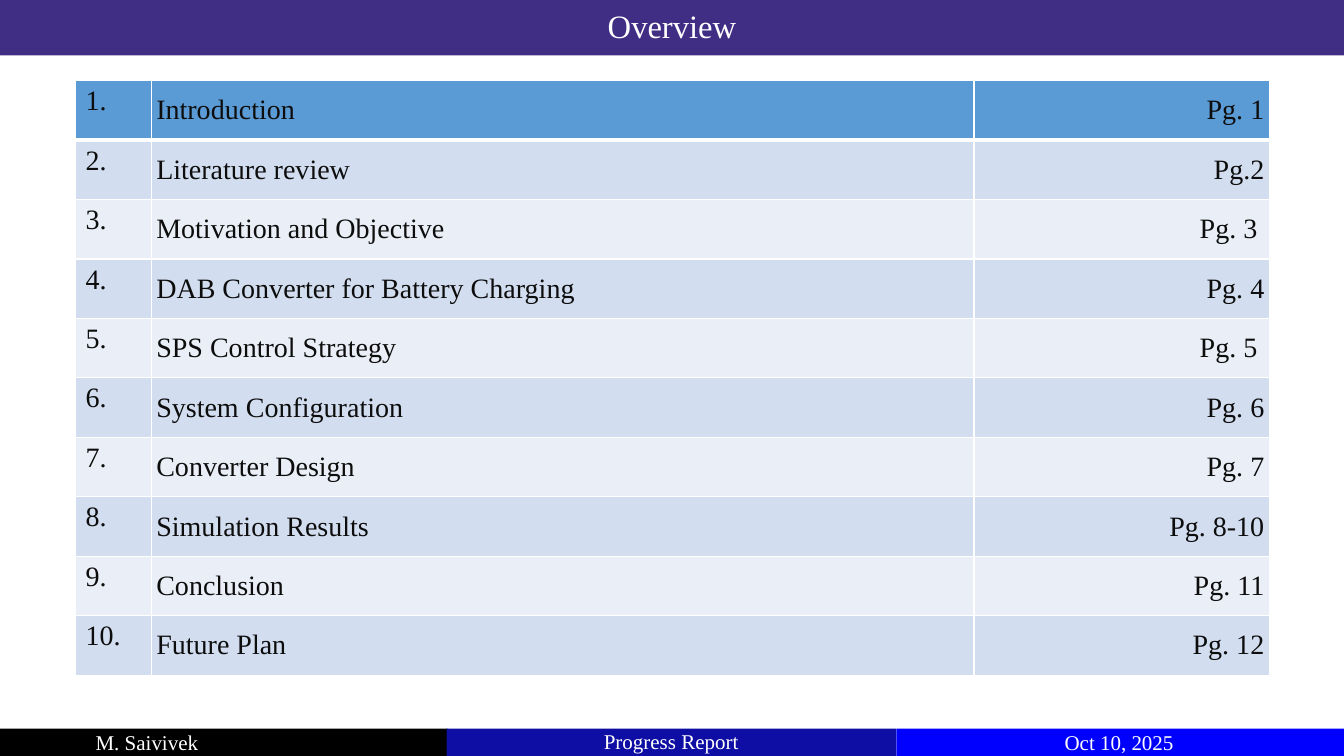
from lxml import etree
from pptx import Presentation
from pptx.dml.color import RGBColor
from pptx.enum.shapes import MSO_SHAPE
from pptx.enum.text import MSO_ANCHOR, MSO_AUTO_SIZE, PP_ALIGN
from pptx.oxml.ns import qn
from pptx.util import Inches, Pt

RECTANGLE = MSO_SHAPE.RECTANGLE
TOP, MIDDLE = MSO_ANCHOR.TOP, MSO_ANCHOR.MIDDLE
LEFT, CENTER, RIGHT = PP_ALIGN.LEFT, PP_ALIGN.CENTER, PP_ALIGN.RIGHT
NO_AUTOFIT = MSO_AUTO_SIZE.NONE
TITLE_ONLY = 5

FONT = "Times New Roman"
WHITE = RGBColor(0xFF, 0xFF, 0xFF)
BLACK = RGBColor(0x00, 0x00, 0x00)
INK = RGBColor(0x0D, 0x0D, 0x0D)
PURPLE = RGBColor(0x40, 0x2E, 0x84)
NAVY = RGBColor(0x0E, 0x0E, 0xA4)
BLUE = RGBColor(0x00, 0x00, 0xFF)
HEADER_BLUE = RGBColor(0x5B, 0x9B, 0xD5)
BAND_DARK = RGBColor(0xD2, 0xDE, 0xEF)
BAND_LIGHT = RGBColor(0xEA, 0xEF, 0xF7)

SLIDE_WIDTH = 13.33
COLUMN_WIDTHS = (0.75, 8.16, 2.93)
ROW_HEIGHT = 0.59
SECTIONS = [
    ("Introduction", "Pg. 1"),
    ("Literature review", "Pg.2"),
    ("Motivation and Objective", "Pg. 3 "),
    ("DAB Converter for Battery Charging", "Pg. 4"),
    ("SPS Control Strategy", "Pg. 5 "),
    ("System Configuration", "Pg. 6"),
    ("Converter Design", "Pg. 7"),
    ("Simulation Results", "Pg. 8-10"),
    ("Conclusion", "Pg. 11"),
    ("Future Plan", "Pg. 12"),
]
# bar left, bar width, bar colour, text left, text top, text width, text
FOOTER = [
    (0, 4.44, BLACK, 0.85, 7.19, 2.7, "M. Saivivek"),
    (8.89, 4.44, BLUE, 10.46, 7.19, 1.62, "Oct 10, 2025"),
    (4.43, 4.46, NAVY, 5.89, 7.18, 1.6, "Progress Report"),
]


def write(text_frame, text, size, color, align=LEFT):
    text_frame.text = text
    para = text_frame.paragraphs[0]
    para.alignment = align
    font = para.runs[0].font
    font.name, font.size = FONT, Pt(size)
    font.color.rgb = color


def add_bar(slide, left, top, width, height, color):
    bar = slide.shapes.add_shape(
        RECTANGLE, Inches(left), Inches(top), Inches(width), Inches(height))
    bar.shadow.inherit = False
    bar.fill.solid()
    bar.fill.fore_color.rgb = color
    bar.line.fill.background()
    return bar


def add_title(slide, text):
    bar = add_bar(slide, 0, 0, SLIDE_WIDTH, 0.55, PURPLE)
    title = slide.shapes.title
    bar.element.addnext(title.element)  # title sits in front of its bar
    title.left, title.top = Inches(4.03), Inches(0.11)
    title.width, title.height = Inches(5.27), Inches(0.35)
    frame = title.text_frame
    frame.margin_left = frame.margin_right = 0
    frame.margin_top = frame.margin_bottom = 0
    frame.vertical_anchor = TOP
    frame.auto_size = NO_AUTOFIT
    write(frame, text, 23.3, WHITE, CENTER)
    frame.paragraphs[0].line_spacing = Pt(24.5)


def add_footer(slide):
    for left, width, color, text_left, text_top, text_width, text in FOOTER:
        add_bar(slide, left, 7.23, width, 0.27, color)
        box = slide.shapes.add_textbox(
            Inches(text_left), Inches(text_top), Inches(text_width), Inches(0.35))
        box.text_frame.word_wrap = True
        write(box.text_frame, text, 15, WHITE)


def set_borders(cell, top, bottom):
    """Give the cell white borders; top and bottom are widths in points."""
    properties = cell._tc.get_or_add_tcPr()
    for side, width in (("L", 1), ("R", 1), ("T", top), ("B", bottom)):
        line = etree.SubElement(properties, qn(f"a:ln{side}"), w=str(Pt(width)))
        fill = etree.SubElement(line, qn("a:solidFill"))
        etree.SubElement(fill, qn("a:srgbClr"), val=str(WHITE))


def format_cell(cell, row, column):
    set_borders(cell, 3 if row == 1 else 1, 3 if row == 0 else 1)
    cell.fill.solid()
    band = BAND_DARK if row % 2 else BAND_LIGHT
    cell.fill.fore_color.rgb = band if row else HEADER_BLUE
    if column:
        cell.vertical_anchor = MIDDLE
        cell.margin_left = cell.margin_right = Inches(0.05)
        cell.margin_top = cell.margin_bottom = Inches(0.02)


def add_contents_table(slide):
    count = len(SECTIONS)
    table = slide.shapes.add_table(
        count, len(COLUMN_WIDTHS), Inches(0.75), Inches(0.8),
        Inches(sum(COLUMN_WIDTHS)), Inches(ROW_HEIGHT * count)).table
    for column, width in enumerate(COLUMN_WIDTHS):
        table.columns[column].width = Inches(width)
    for row, (section, pages) in enumerate(SECTIONS):
        table.rows[row].height = Inches(ROW_HEIGHT)
        for column, text in enumerate((f"{row + 1}.", section, pages)):
            cell = table.cell(row, column)
            format_cell(cell, row, column)
            write(cell.text_frame, text, 20, INK, RIGHT if column == 2 else LEFT)
            cell.text_frame.paragraphs[0].runs[0].font.bold = False


def main():
    deck = Presentation()
    deck.slide_width, deck.slide_height = Inches(SLIDE_WIDTH), Inches(7.5)
    slide = deck.slides.add_slide(deck.slide_layouts[TITLE_ONLY])
    add_footer(slide)
    add_title(slide, "Overview")
    add_contents_table(slide)
    deck.save("out.pptx")


if __name__ == "__main__":
    main()
